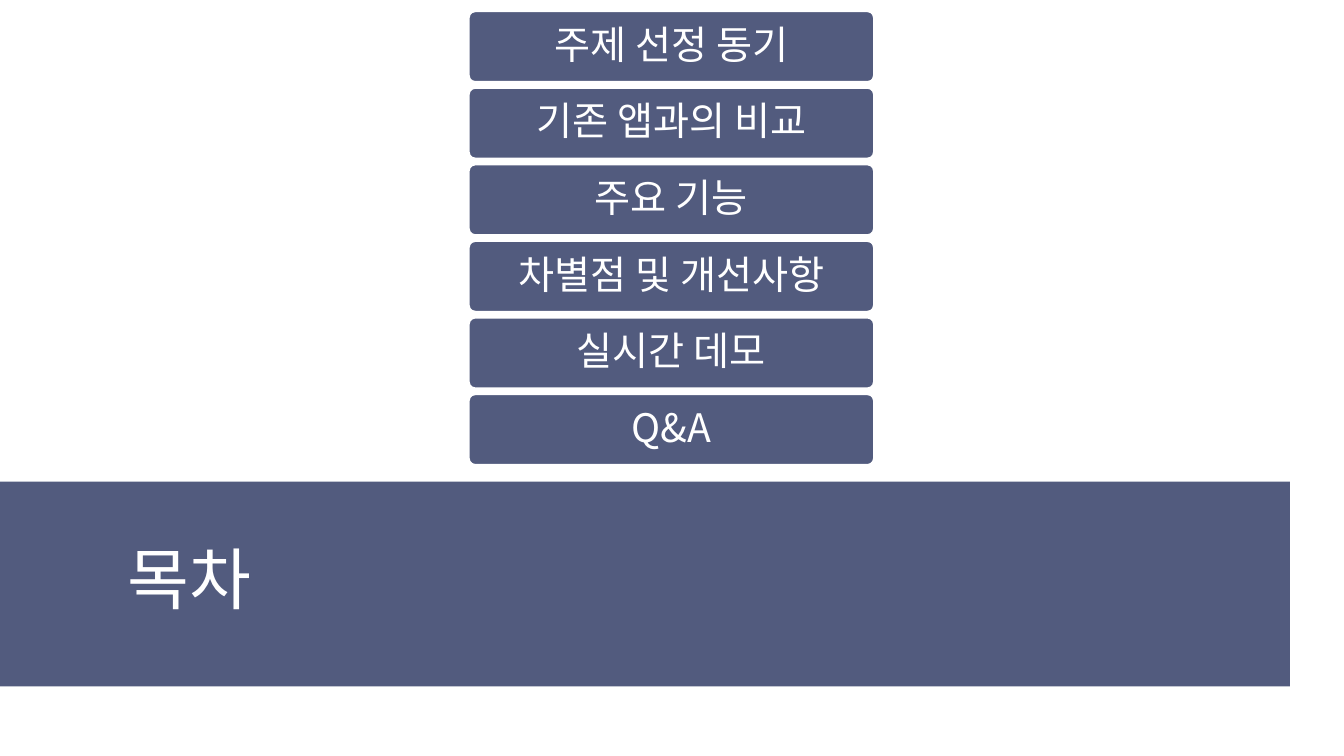
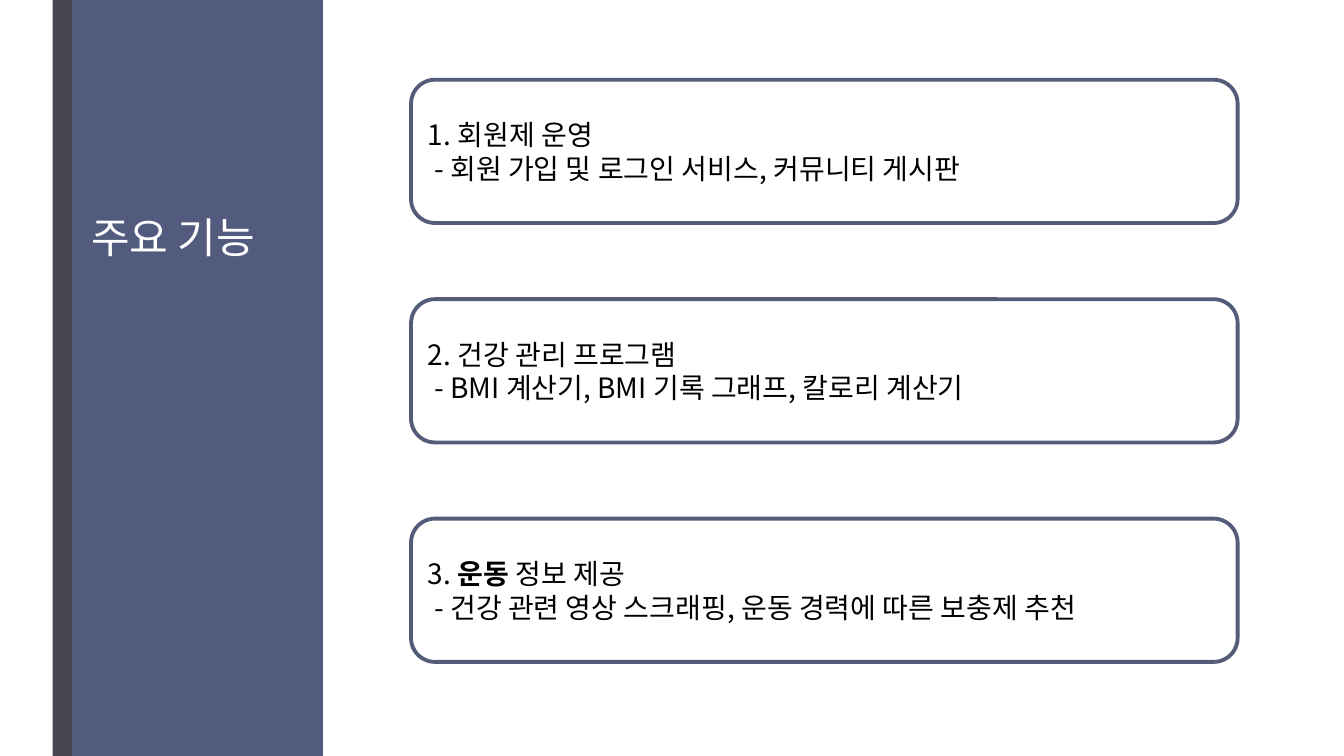
from lxml import etree
from pptx import Presentation
from pptx.dml.color import RGBColor
from pptx.enum import shapes, text
from pptx.oxml import ns
from pptx.util import Cm, Pt

SLIDE_WIDTH, SLIDE_HEIGHT = Cm(33.87), Cm(19.05)
FONT = "Noto Sans CJK KR"
WHITE = RGBColor(0xFF, 0xFF, 0xFF)
BLACK = RGBColor(0x00, 0x00, 0x00)
NAVY = RGBColor(0x52, 0x5B, 0x7E)
OUTLINE = RGBColor(0x54, 0x5C, 0x79)
CHARCOAL = RGBColor(0x46, 0x46, 0x53)
LINE_WIDTH = Pt(2.75)
TITLE_SPACING = 0.89

AGENDA = ["주제 선정 동기", "기존 앱과의 비교", "주요 기능",
          "차별점 및 개선사항", "실시간 데모", "Q&A"]

# Each feature: heading as (text, bold) runs, then the detail line
FEATURES = [
    ([("1. 회원제 운영", False)],
     "- 회원 가입 및 로그인 서비스, 커뮤니티 게시판"),
    ([("2. 건강 관리 프로그램", False)],
     "- BMI 계산기, BMI 기록 그래프, 칼로리 계산기"),
    ([("3. ", False), ("운동 ", True), ("정보 제공", False)],
     "- 건강 관련 영상 스크래핑, 운동 경력에 따른 보충제 추천"),
]


def set_attributes(target, values):
    for name, value in values.items():
        setattr(target, name, value)


def add_run(paragraph, content, size, color, bold=False):
    run = paragraph.add_run()
    run.text = content
    set_attributes(run.font, {"name": FONT, "size": Pt(size), "bold": bold})
    run.font.color.rgb = color
    # Korean glyphs take the East Asian font
    east_asian = etree.SubElement(run.font._element, ns.qn("a:ea"))
    east_asian.set("typeface", FONT)


def add_box(slide, kind, left, top, width, height, fill, line=None):
    shape = slide.shapes.add_shape(kind, left, top, width, height)
    shape.shadow.inherit = False
    shape.fill.solid()
    shape.fill.fore_color.rgb = fill
    if line is None:
        shape.line.fill.background()
    else:
        shape.line.color.rgb = line
        shape.line.width = LINE_WIDTH
    return shape


def place_title(slide, content, size, anchor, left, top, width, height):
    title = slide.shapes.title
    set_attributes(title, {"left": left, "top": top,
                           "width": width, "height": height})
    set_attributes(title.text_frame, {
        "vertical_anchor": anchor, "word_wrap": True,
        "auto_size": text.MSO_AUTO_SIZE.NONE})
    paragraph = title.text_frame.paragraphs[0]
    set_attributes(paragraph, {"alignment": text.PP_ALIGN.LEFT,
                               "line_spacing": TITLE_SPACING})
    add_run(paragraph, content, size, WHITE)
    # Bring the title in front of its colour band
    slide.shapes._spTree.append(title._element)


def add_agenda_button(slide, label, top):
    button = add_box(slide, shapes.MSO_SHAPE.ROUNDED_RECTANGLE,
                     Cm(11.79), top, Cm(10.26), Cm(1.83), NAVY, WHITE)
    button.adjustments[0] = 0.1
    set_attributes(button.text_frame, {
        "vertical_anchor": text.MSO_ANCHOR.MIDDLE, "word_wrap": True,
        "margin_top": Cm(0.15), "margin_bottom": Cm(0.15)})
    paragraph = button.text_frame.paragraphs[0]
    set_attributes(paragraph, {"alignment": text.PP_ALIGN.CENTER,
                               "line_spacing": 0.9})
    add_run(paragraph, label, 28, WHITE)


def add_feature_card(slide, heading, detail, top):
    card = add_box(slide, shapes.MSO_SHAPE.ROUNDED_RECTANGLE,
                   Cm(10.36), top, Cm(20.83), Cm(3.61), WHITE, OUTLINE)
    frame = card.text_frame
    set_attributes(frame, {"vertical_anchor": text.MSO_ANCHOR.MIDDLE,
                           "word_wrap": True})
    first, second = frame.paragraphs[0], frame.add_paragraph()
    for paragraph in (first, second):
        paragraph.alignment = text.PP_ALIGN.LEFT
    for content, bold in heading:
        add_run(first, content, 20, BLACK, bold)
    second._p.get_or_add_pPr().set("marL", str(Cm(0.16)))
    add_run(second, detail, 20, BLACK)


def build_agenda(slide):
    # Title band
    add_box(slide, shapes.MSO_SHAPE.RECTANGLE,
            0, Cm(12.14), Cm(32.51), Cm(5.16), NAVY)
    place_title(slide, "목차", 48, text.MSO_ANCHOR.BOTTOM,
                Cm(2.97), Cm(12.75), Cm(28.37), Cm(2.97))
    # Stack of agenda items
    for index, label in enumerate(AGENDA):
        add_agenda_button(slide, label, Cm(0.26 + 1.93 * index))


def build_features(slide):
    # Side panel with its dark edge
    add_box(slide, shapes.MSO_SHAPE.RECTANGLE,
            Cm(1.33), 0, Cm(0.63), SLIDE_HEIGHT, CHARCOAL)
    add_box(slide, shapes.MSO_SHAPE.RECTANGLE,
            Cm(1.81), 0, Cm(6.33), SLIDE_HEIGHT, NAVY)
    place_title(slide, "주요 기능", 30, text.MSO_ANCHOR.TOP,
                Cm(2.04), Cm(5.36), Cm(8.32), Cm(4.62))
    # Feature cards
    for index, (heading, detail) in enumerate(FEATURES):
        add_feature_card(slide, heading, detail, Cm(2.01 + 5.53 * index))


def main():
    presentation = Presentation()
    set_attributes(presentation, {"slide_width": SLIDE_WIDTH,
                                  "slide_height": SLIDE_HEIGHT})
    title_only = presentation.slide_layouts[5]
    for build in (build_agenda, build_features):
        build(presentation.slides.add_slide(title_only))
    presentation.save("out.pptx")


if __name__ == "__main__":
    main()
